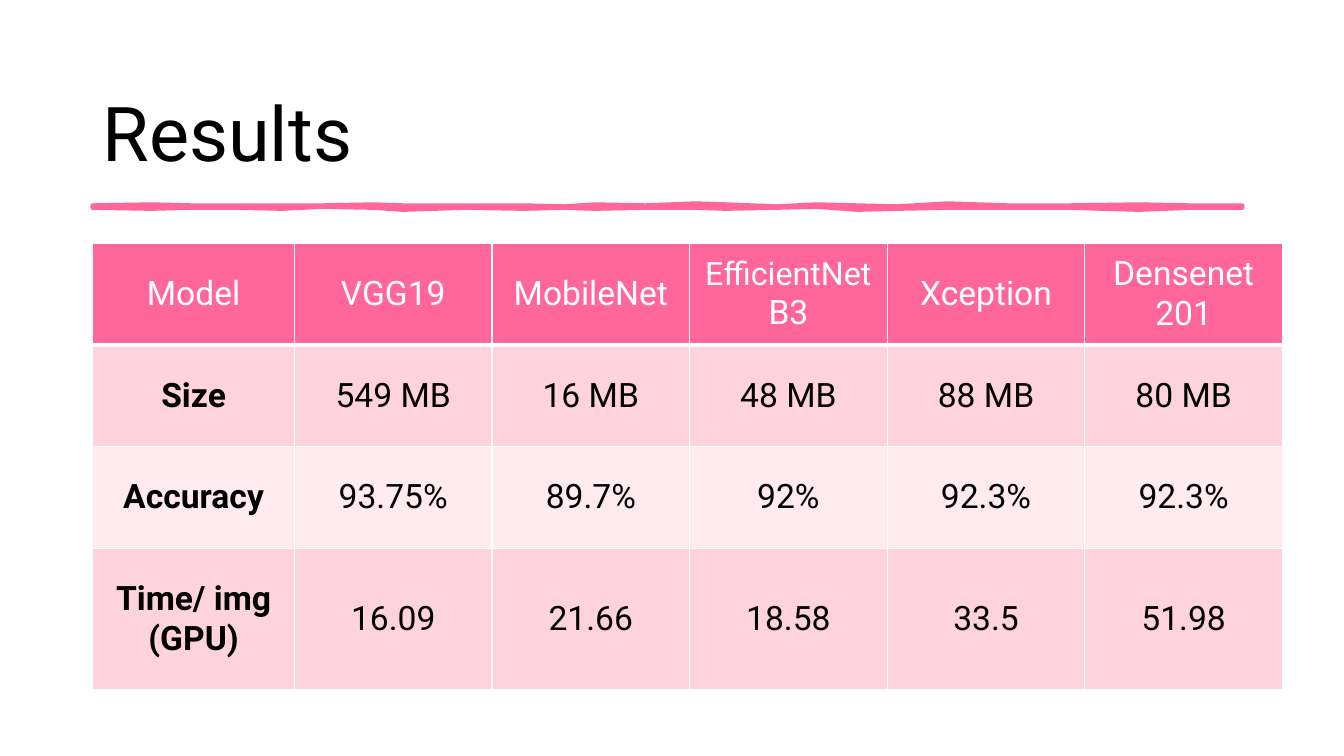
from dataclasses import dataclass

from pptx import Presentation
from pptx.dml.color import RGBColor
from pptx.enum.text import MSO_ANCHOR as Anchor, PP_ALIGN as Align
from pptx.oxml import parse_xml
from pptx.oxml.ns import nsdecls, qn
from pptx.util import Inches, Pt

WIDTH, HEIGHT = 13.33, 7.5
LEFT = 0.92
PINK, WHITE, BLACK = "FF6699", "FFFFFF", "000000"
COLUMNS = [2.0] + [1.96] * 5


@dataclass
class Span:
    text: str
    size: float = 24


@dataclass
class Row:
    height: float
    fill: str
    ink: str
    values: list
    rule: float = 1
    bold_label: bool = True


@dataclass
class Stroke:
    x: float
    top: float
    bottom: float


ROWS = [
    Row(1.01, PINK, WHITE,
        ["Model", "VGG19", "MobileNet", [Span("EfficientNet ", 23), Span("B3")],
         "Xception", "Densenet 201"], rule=3, bold_label=False),
    Row(1.01, "FFD3DE", BLACK, ["Size", "549 MB", "16 MB", "48 MB", "88 MB", "80 MB"]),
    Row(1.01, "FFEAEF", BLACK, ["Accuracy", "93.75%", "89.7%", "92%", "92.3%", "92.3%"]),
    Row(1.4, "FFD3DE", BLACK,
        ["Time/ img (GPU)", "16.09", "21.66", "18.58", "33.5", "51.98"]),
]

BRUSH = [
    Stroke(0.92, 2.04, 2.06), Stroke(1.5, 2.03, 2.07), Stroke(1.9, 2.04, 2.06),
    Stroke(2.35, 2.04, 2.06), Stroke(2.8, 2.04, 2.07), Stroke(3.2, 2.04, 2.05),
    Stroke(3.7, 2.03, 2.06), Stroke(4.0, 2.04, 2.08), Stroke(4.6, 2.04, 2.06),
    Stroke(5.2, 2.04, 2.07), Stroke(5.6, 2.05, 2.06), Stroke(5.9, 2.03, 2.07),
    Stroke(6.4, 2.04, 2.06), Stroke(6.9, 2.02, 2.06), Stroke(7.2, 2.03, 2.07),
    Stroke(7.7, 2.05, 2.06), Stroke(8.1, 2.03, 2.05), Stroke(8.5, 2.04, 2.08),
    Stroke(8.9, 2.05, 2.07), Stroke(9.4, 2.02, 2.06), Stroke(10.0, 2.04, 2.06),
    Stroke(10.6, 2.04, 2.06), Stroke(11.3, 2.03, 2.08), Stroke(11.8, 2.04, 2.06),
    Stroke(12.32, 2.04, 2.06),
]


def color(value: str) -> RGBColor:
    return RGBColor.from_string(value)


def write(frame, text, size=24.0, ink=BLACK, bold=False, align=Align.LEFT, spacing=1.0) -> None:
    para = frame.paragraphs[0]
    para.alignment, para.line_spacing = align, spacing
    for span in [Span(text, size)] if isinstance(text, str) else text:
        run = para.add_run()
        run.text = span.text
        run.font.name, run.font.size, run.font.bold = "Roboto", Pt(span.size), bold
        run.font.color.rgb = color(ink)


def add_title(page) -> None:
    box = page.shapes.add_textbox(Inches(LEFT), Inches(0.87), Inches(11.5), Inches(0.97))
    box.text_frame.word_wrap = True
    box.text_frame.vertical_anchor = Anchor.MIDDLE
    write(box.text_frame, "Results", size=54, spacing=0.9)


def add_brush(page) -> None:
    outline = [(Inches(point.x), Inches(point.top)) for point in BRUSH]
    outline += [(Inches(point.x), Inches(point.bottom)) for point in reversed(BRUSH)]
    builder = page.shapes.build_freeform(*outline[0])
    builder.add_line_segments(outline[1:], close=True)
    brush = builder.convert_to_shape()
    brush.shadow.inherit = False
    brush.fill.solid()
    brush.fill.fore_color.rgb = color(PINK)
    brush.line.color.rgb = color(PINK)
    brush.line.width = Pt(3.25)
    brush.element.spPr.find(qn("a:ln")).append(parse_xml(f"<a:round {nsdecls('a')}/>"))


def add_borders(cell, top: float, bottom: float) -> None:
    properties = cell._tc.get_or_add_tcPr()
    for side, width in {"L": 1, "R": 1, "T": top, "B": bottom}.items():
        properties.append(parse_xml(
            f'<a:ln{side} {nsdecls("a")} w="{Pt(width)}"><a:solidFill>'
            f'<a:srgbClr val="{WHITE}"/></a:solidFill></a:ln{side}>'))


def add_results(page) -> None:
    heights = [row.height for row in ROWS]
    table = page.shapes.add_table(
        len(ROWS), len(COLUMNS), Inches(LEFT), Inches(2.41),
        Inches(sum(COLUMNS)), Inches(sum(heights))).table
    for column, width in zip(table.columns, COLUMNS):
        column.width = Inches(width)
    top_rule = 1
    for index, row in enumerate(ROWS):
        table.rows[index].height = Inches(row.height)
        for position, value in enumerate(row.values):
            cell = table.cell(index, position)
            add_borders(cell, top_rule, row.rule)
            cell.fill.solid()
            cell.fill.fore_color.rgb = color(row.fill)
            cell.vertical_anchor = Anchor.MIDDLE
            cell.margin_left = cell.margin_right = Inches(0.13)
            cell.margin_top = cell.margin_bottom = Inches(0.06)
            write(cell.text_frame, value, ink=row.ink, align=Align.CENTER,
                  bold=row.bold_label and position == 0)
        top_rule = row.rule


def main() -> None:
    """Build the slide comparing image models by size, accuracy and time."""
    deck = Presentation()
    deck.slide_width, deck.slide_height = Inches(WIDTH), Inches(HEIGHT)
    page = deck.slides.add_slide(deck.slide_layouts[6])
    add_title(page)
    add_brush(page)
    add_results(page)
    deck.save("out.pptx")


if __name__ == "__main__":
    main()
